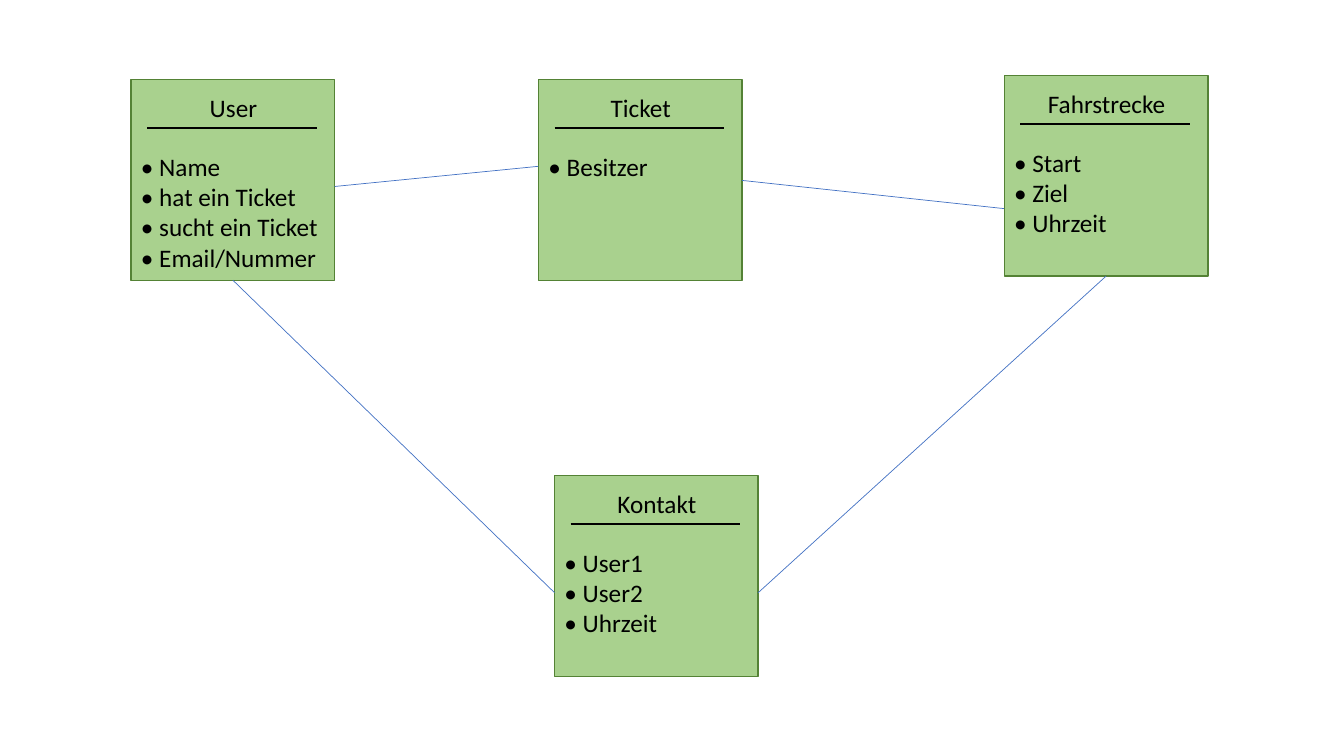
"""Build the entity diagram of a ticket-sharing service."""
from typing import Any, NamedTuple

from lxml.etree import SubElement
from pptx import Presentation
from pptx.dml.color import RGBColor
from pptx.enum.shapes import MSO_CONNECTOR, MSO_SHAPE
from pptx.enum.text import MSO_AUTO_SIZE, PP_ALIGN
from pptx.oxml.ns import qn
from pptx.util import Pt

EMU_PER_PX = 9144
SLIDE_WIDTH, SLIDE_HEIGHT = 1333, 750
CARD_WIDTH, CARD_HEIGHT = 202, 199
LINE_HEIGHT, LIST_PADDING = 30, 10
COLOURS = {
    "card": "A9D18E",
    "border": "548235",
    "ink": "000000",
    "relation": "4472C4",
}
FRAME_FORMAT = {"word_wrap": True, "auto_size": MSO_AUTO_SIZE.SHAPE_TO_FIT_TEXT}
FONT_FORMAT = {"name": "Calibri", "size": Pt(18)}


class Entity(NamedTuple):
    title: str
    left: int
    top: int
    attributes: list[str]


class Relation(NamedTuple):
    source: Entity
    source_offset: tuple[int, int]
    target: Entity
    target_offset: tuple[int, int]


USER = Entity("User", 130, 79, ["Name", "hat ein Ticket", "sucht ein Ticket", "Email/Nummer"])
TICKET = Entity("Ticket", 534, 79, ["Besitzer"])
ROUTE = Entity("Fahrstrecke", 996, 75, ["Start", "Ziel", "Uhrzeit"])
CONTACT = Entity("Kontakt", 550, 472, ["User1", "User2", "Uhrzeit"])
ENTITIES = [USER, TICKET, ROUTE, CONTACT]
RELATIONS = [
    Relation(USER, (101, 199), CONTACT, (0, 116)),
    Relation(USER, (202, 106), TICKET, (0, 86)),
    Relation(CONTACT, (202, 116), ROUTE, (101, 199)),
    Relation(TICKET, (202, 100), ROUTE, (0, 132)),
]


def px(*lengths: int) -> list[int]:
    return [length * EMU_PER_PX for length in lengths]


def colour(name: str) -> RGBColor:
    return RGBColor.from_string(COLOURS[name])


def apply_format(target: Any, values: dict[str, Any]) -> None:
    for attribute, value in values.items():
        setattr(target, attribute, value)


def draw_line(shapes: Any, start: tuple[int, int], end: tuple[int, int],
              ink: str, width: float) -> None:
    connector = shapes.add_connector(MSO_CONNECTOR.STRAIGHT, *px(*start, *end))
    connector.line.color.rgb = colour(ink)
    connector.line.width = Pt(width)
    SubElement(connector._element.spPr, qn("a:effectLst"))


def draw_text(shapes: Any, box: tuple[int, int, int, int], lines: list[str],
              alignment: PP_ALIGN) -> None:
    frame = shapes.add_textbox(*px(*box)).text_frame
    apply_format(frame, FRAME_FORMAT)
    frame.text = "\n".join(lines)
    for paragraph in frame.paragraphs:
        paragraph.alignment = alignment
        font = paragraph.runs[0].font
        apply_format(font, FONT_FORMAT)
        font.color.rgb = colour("ink")


def draw_entity(shapes: Any, entity: Entity) -> None:
    group = shapes.add_group_shape().shapes
    left, top = entity.left, entity.top
    card = group.add_shape(MSO_SHAPE.RECTANGLE, *px(left, top, CARD_WIDTH, CARD_HEIGHT))
    card.shadow.inherit = False
    card.fill.solid()
    card.fill.fore_color.rgb = colour("card")
    card.line.color.rgb = colour("border")
    card.line.width = Pt(1)
    draw_text(group, (left + 32, top + 8, 139, 40), [entity.title], PP_ALIGN.CENTER)
    draw_line(group, (left + 16, top + 48), (left + 184, top + 48), "ink", 1.5)
    list_height = LIST_PADDING + LINE_HEIGHT * len(entity.attributes)
    draw_text(group, (left, top + 66, CARD_WIDTH, list_height),
              [f"• {attribute}" for attribute in entity.attributes], PP_ALIGN.LEFT)


def anchor(entity: Entity, offset: tuple[int, int]) -> tuple[int, int]:
    return entity.left + offset[0], entity.top + offset[1]


def draw_relation(shapes: Any, relation: Relation) -> None:
    draw_line(shapes, anchor(relation.source, relation.source_offset),
              anchor(relation.target, relation.target_offset), "relation", 0.5)


def main() -> None:
    presentation = Presentation()
    presentation.slide_width, presentation.slide_height = px(SLIDE_WIDTH, SLIDE_HEIGHT)
    diagram = presentation.slides.add_slide(presentation.slide_layouts[6]).shapes
    for entity in ENTITIES:
        draw_entity(diagram, entity)
    for relation in RELATIONS:
        draw_relation(diagram, relation)
    presentation.save("out.pptx")


if __name__ == "__main__":
    main()
